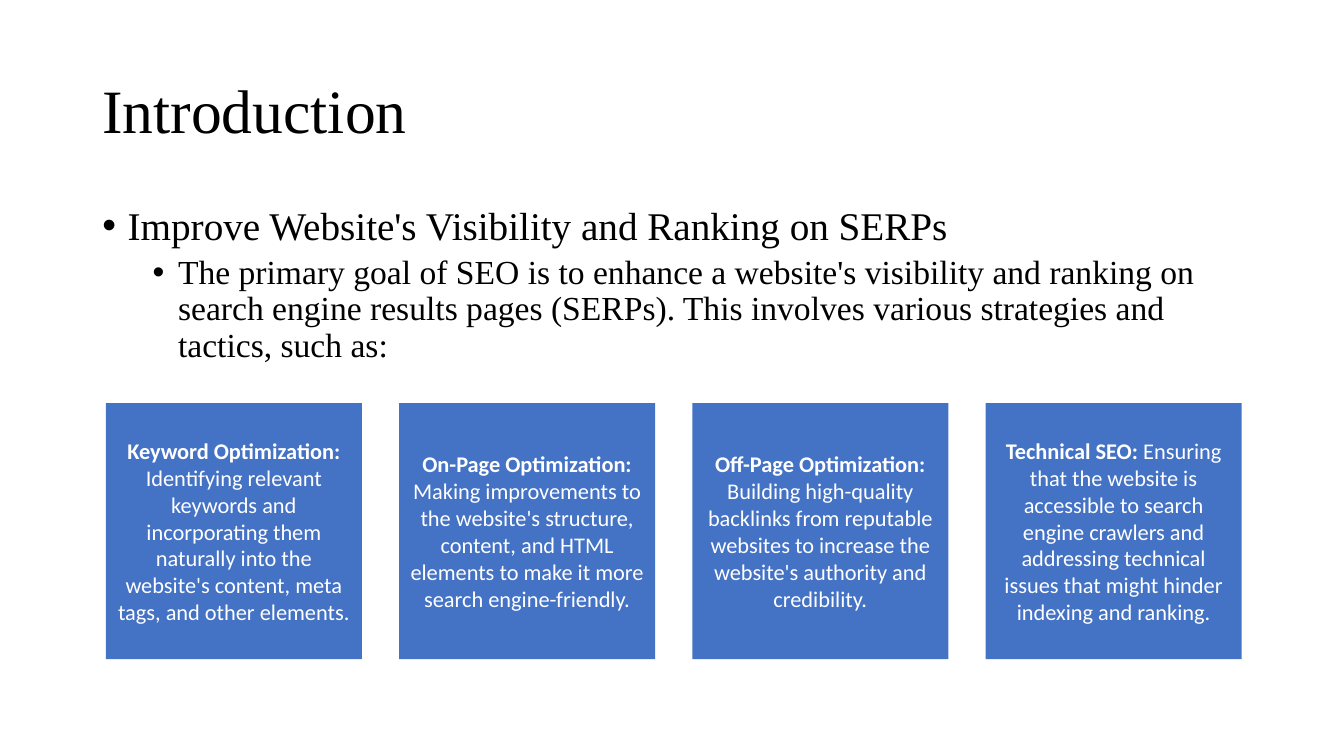
import pptx
import pptx.util
import pptx.dml.color
import pptx.enum.shapes
import pptx.enum.text
import lxml.etree
from dataclasses import dataclass

Cm, Pt = pptx.util.Cm, pptx.util.Pt
Align = pptx.enum.text.PP_ALIGN
Anchor = pptx.enum.text.MSO_ANCHOR


@dataclass
class Theme:
    serif: str = "Times New Roman"
    sans: str = "Calibri"
    ink: str = "000000"
    light: str = "FFFFFF"
    fill: str = "4472C4"
    title: int = 44
    lead: int = 28
    detail: int = 24
    card: int = 16


class Deck:
    def __init__(self, theme):
        self.theme = theme
        self.show = pptx.Presentation()
        self.show.slide_width = Cm(33.87)
        self.show.slide_height = Cm(19.05)
        self.slide = self.show.slides.add_slide(self.show.slide_layouts[6])

    def color(self, code):
        return pptx.dml.color.RGBColor.from_string(code)

    def style(self, para, face, size, code):
        para.font.name = face
        para.font.size = Pt(size)
        para.font.color.rgb = self.color(code)

    def bullet(self, para, left):
        props = para._p.get_or_add_pPr()
        props.set("marL", str(Cm(left)))
        props.set("indent", str(-Cm(0.64)))
        space = pptx.oxml.ns.nsdecls("a")
        for tag in ('buFont {} typeface="Arial"', 'buChar {} char="•"'):
            props.append(lxml.etree.fromstring(f"<a:{tag.format(space)}/>"))

    def text(self, top, height, lines, anchor):
        """Each line is (words, size, space before, left indent or None)."""
        box = self.slide.shapes.add_textbox(Cm(2.33), Cm(top), Cm(29.21), Cm(height))
        frame = box.text_frame
        frame.word_wrap = True
        frame.vertical_anchor = anchor
        for i, (words, size, before, left) in enumerate(lines):
            para = frame.add_paragraph() if i else frame.paragraphs[0]
            para.text = words
            para.line_spacing = 0.9
            para.space_before = Pt(before)
            if left is not None:
                para.level = i
                self.bullet(para, left)
            self.style(para, self.theme.serif, size, self.theme.ink)

    def card(self, left, top, side, head, body):
        box = self.slide.shapes.add_shape(
            pptx.enum.shapes.MSO_SHAPE.RECTANGLE, Cm(left), Cm(top), Cm(side), Cm(side))
        box.shadow.inherit = False
        box.fill.solid()
        box.fill.fore_color.rgb = self.color(self.theme.fill)
        box.line.fill.background()
        frame = box.text_frame
        frame.word_wrap = True
        frame.vertical_anchor = Anchor.MIDDLE
        para = frame.paragraphs[0]
        para.alignment = Align.CENTER
        self.style(para, self.theme.sans, self.theme.card, self.theme.light)
        for words, bold in ((head, True), (" " + body, False)):
            run = para.add_run()
            run.text = words
            run.font.bold = bold


def main():
    theme = Theme()
    deck = Deck(theme)

    # Title
    deck.text(1.01, 3.68, [("Introduction", theme.title, 0, None)], Anchor.MIDDLE)

    # Goal
    deck.text(5.07, 12.09, [
        ("Improve Website's Visibility and Ranking on SERPs", theme.lead, 10, 0.64),
        ("The primary goal of SEO is to enhance a website's visibility and ranking on "
         "search engine results pages (SERPs). This involves various strategies and "
         "tactics, such as:", theme.detail, 5, 1.91),
    ], Anchor.TOP)

    # Row of tactics
    cards = [
        ("Keyword Optimization:",
         "Identifying relevant keywords and incorporating them naturally into the "
         "website's content, meta tags, and other elements."),
        ("On-Page Optimization:",
         "Making improvements to the website's structure, content, and HTML elements "
         "to make it more search engine-friendly."),
        ("Off-Page Optimization:",
         "Building high-quality backlinks from reputable websites to increase the "
         "website's authority and credibility."),
        ("Technical SEO:",
         "Ensuring that the website is accessible to search engine crawlers and "
         "addressing technical issues that might hinder indexing and ranking."),
    ]
    side, gap = 6.45, 0.94
    for i, (head, body) in enumerate(cards):
        deck.card(2.67 + i * (side + gap), 10.16, side, head, body)

    deck.show.save("out.pptx")


if __name__ == "__main__":
    main()
